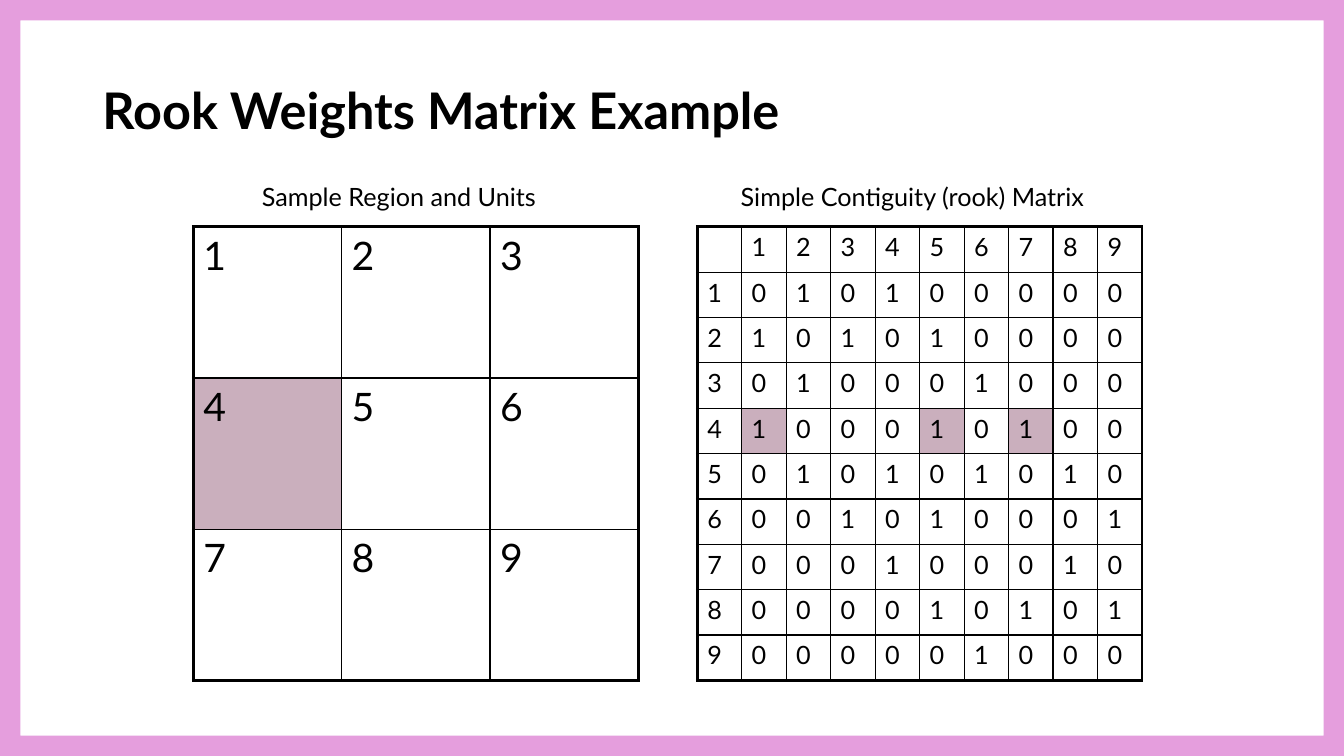
import pptx
import pptx.dml.color
import pptx.enum.shapes
import pptx.enum.text
import pptx.oxml
import pptx.oxml.ns
import pptx.util

COLORS = {"black": "000000", "mauve": "96607D", "frame": "E59EDD"}
UNIT_NEIGHBOURS = {
    1: (2, 4), 2: (1, 3, 5), 3: (2, 6),
    4: (1, 5, 7), 5: (2, 4, 6, 8), 6: (3, 5, 9),
    7: (4, 8), 8: (5, 7, 9), 9: (6,),
}
FOCUS_UNIT = 4


class SlideBuilder:
    """Places elements on a grid of 160 columns by 90 rows."""

    font_name = "Lato"
    grid_step = pptx.util.Inches(1) / 12
    thin, thick = pptx.util.Pt(1), pptx.util.Pt(2.25)

    def __init__(self, presentation):
        presentation.slide_width = self.length(160)
        presentation.slide_height = self.length(90)
        self.slide = presentation.slides.add_slide(presentation.slide_layouts[5])

    def length(self, units):
        return pptx.util.Emu(round(units * self.grid_step))

    def box(self, *units):
        return [self.length(value) for value in units]

    def color(self, name):
        return pptx.dml.color.RGBColor.from_string(COLORS[name])

    def set_text(self, text_frame, text, size, bold=False):
        text_frame.text = text
        for run in text_frame.paragraphs[0].runs:
            run.font.name = self.font_name
            run.font.size = pptx.util.Pt(size)
            run.font.bold = bold
            run.font.color.rgb = self.color("black")

    def title(self, text, *position):
        shape = self.slide.shapes.title
        shape.left, shape.top, shape.width, shape.height = self.box(*position)
        self.set_text(shape.text_frame, text, 36, bold=True)
        shape.text_frame.vertical_anchor = pptx.enum.text.MSO_ANCHOR.MIDDLE
        paragraph = shape.text_frame.paragraphs[0]
        paragraph.alignment = pptx.enum.text.PP_ALIGN.LEFT
        paragraph.line_spacing = 0.9

    def caption(self, text, *position):
        shape = self.slide.shapes.add_textbox(*self.box(*position))
        shape.text_frame.word_wrap = True
        self.set_text(shape.text_frame, text, 18)

    def border(self, cell, widths):
        properties = cell._tc.get_or_add_tcPr()
        for index, (side, width) in enumerate(widths.items()):
            properties.insert(index, pptx.oxml.parse_xml(
                f'<a:ln{side} {pptx.oxml.ns.nsdecls("a")} w="{width}"><a:solidFill>'
                f'<a:srgbClr val="{COLORS["black"]}"/></a:solidFill></a:ln{side}>'))

    def shade(self, cell, name):
        cell.fill.solid()
        cell.fill.fore_color.rgb = self.color(name)
        color = cell._tc.tcPr.find(".//" + pptx.oxml.ns.qn("a:srgbClr"))
        color.append(pptx.oxml.parse_xml(
            f'<a:alpha {pptx.oxml.ns.nsdecls("a")} val="50000"/>'))

    def square_table(self, values, size, shaded, left, top, width, height):
        count = len(values)
        table = self.slide.shapes.add_table(
            count, count, *self.box(left, top, width, height)).table
        table.first_row = table.horz_banding = False
        for column in table.columns:
            column.width = self.length(width / count)
        for row in table.rows:
            row.height = self.length(height / count)
        for i, row_values in enumerate(values):
            for j, value in enumerate(row_values):
                cell = table.cell(i, j)
                self.set_text(cell.text_frame, str(value), size)
                if (i, j) in shaded:
                    self.shade(cell, "mauve")
                else:
                    cell.fill.background()
                outer = {"L": j == 0, "R": j == count - 1,
                         "T": i == 0, "B": i == count - 1}
                self.border(cell, {side: self.thick if edge else self.thin
                                   for side, edge in outer.items()})

    def frame(self, name, thickness):
        shape = self.slide.shapes.add_shape(
            pptx.enum.shapes.MSO_SHAPE.FRAME, *self.box(0, 0, 160, 90))
        shape.adjustments[0] = thickness
        shape.shadow.inherit = False
        shape.fill.solid()
        shape.fill.fore_color.rgb = self.color(name)
        shape.line.fill.background()


def main():
    presentation = pptx.Presentation()
    builder = SlideBuilder(presentation)
    builder.title("Rook Weights Matrix Example", 11, 4.8, 138, 17.4)

    # Region of nine units
    units = list(UNIT_NEIGHBOURS)
    region = [units[start:start + 3] for start in range(0, 9, 3)]
    focus_cell = divmod(FOCUS_UNIT - 1, 3)
    builder.square_table(region, 28, {focus_cell}, 23, 27, 53, 54)

    # Contiguity matrix with its header row and column
    matrix = [["", *units]]
    for unit, neighbours in UNIT_NEIGHBOURS.items():
        matrix.append([unit, *(int(other in neighbours) for other in units)])
    focus_links = {(FOCUS_UNIT, other) for other in UNIT_NEIGHBOURS[FOCUS_UNIT]}
    builder.caption("Simple Contiguity (rook) Matrix", 87, 21, 46.4, 9.1)
    builder.square_table(matrix, 18, focus_links, 83, 27, 53, 54)
    builder.caption("Sample Region and Units", 30, 21, 35.6, 4.8)

    # Border of the slide
    builder.frame("frame", 0.027)
    presentation.save("out.pptx")


if __name__ == "__main__":
    main()
